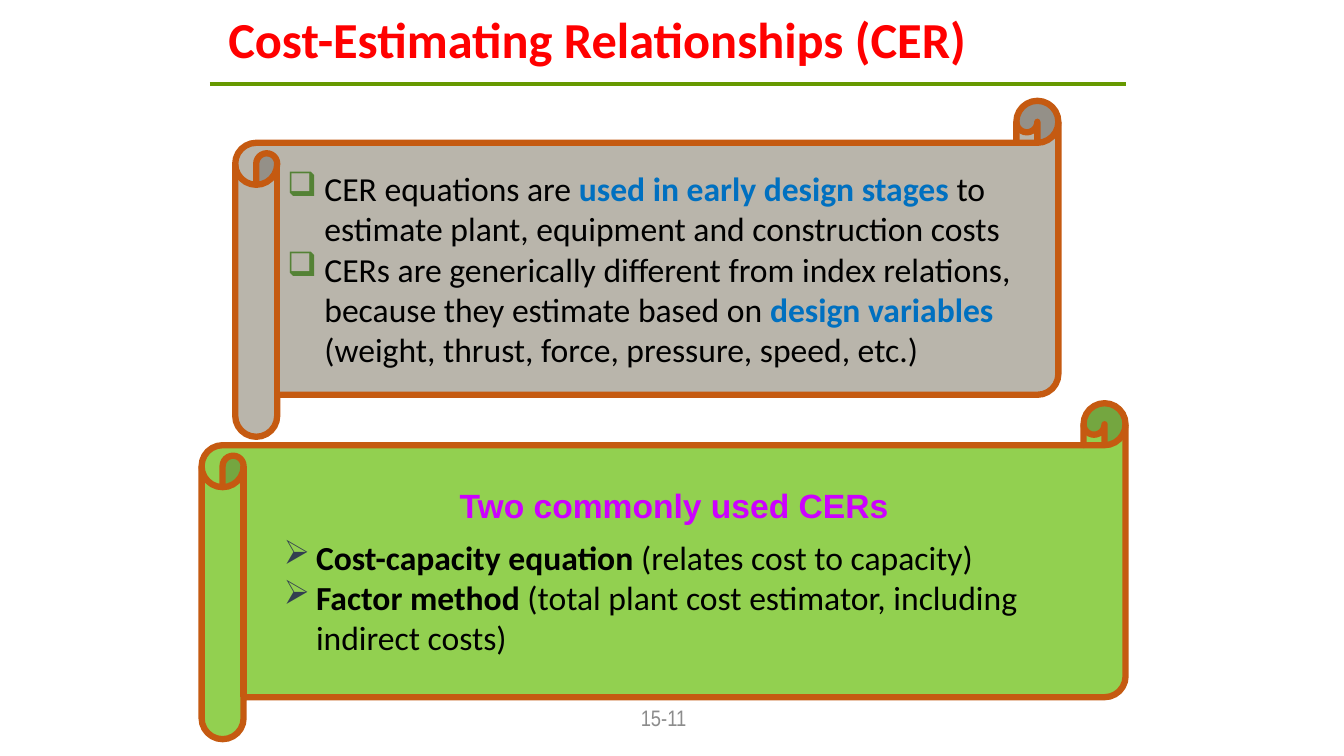
from lxml import etree
from pptx import Presentation, util as u
from pptx.dml.color import RGBColor
from pptx.enum import shapes, text
from pptx.oxml.ns import qn

BLACK = RGBColor(0x00, 0x00, 0x00)
RED = RGBColor(0xFF, 0x00, 0x00)
BLUE = RGBColor(0x00, 0x70, 0xC0)
MAGENTA = RGBColor(0xCC, 0x00, 0xFF)
GRAY = RGBColor(0x8C, 0x8C, 0x8C)
RULE_GREEN = RGBColor(0x66, 0x99, 0x00)
STONE = RGBColor(0xB9, 0xB5, 0xAB)
LIME = RGBColor(0x92, 0xD0, 0x50)
RUST = RGBColor(0xC5, 0x5A, 0x11)
BOX_BULLET = RGBColor(0x54, 0x82, 0x35)
ARROW_BULLET = RGBColor(0x33, 0x3F, 0x50)

# The slide is a grid of 160 by 90 cells; areas are left, top, width, height.
COLUMNS, ROWS = 160, 90
CELL = u.Inches(1 / 12)

TITLE = "Cost-Estimating Relationships (CER)"
TITLE_AREA = (26, 1, 108, 8)
PAGE_NUMBER = "15-11"
PAGE_NUMBER_AREA = (73, 83, 12, 4.8)
RULE_START, RULE_END, RULE_ROW = 25, 134, 10

# Each point is a list of (words, highlight colour or None, bold).
SCROLLS = [
    {
        "area": (28, 12, 98, 40), "fill": STONE, "heading": None,
        "bullet": "❑", "bullet_color": BOX_BULLET, "margin": 0.37, "hang": 0.37,
        "points": [
            [("CER equations are ", None, False),
             ("used in early design stages ", BLUE, True),
             ("to estimate plant, equipment and construction costs", None, False)],
            [("CERs are generically different from index relations, "
              "because they estimate based on ", None, False),
             ("design variables ", BLUE, True),
             ("(weight, thrust, force, pressure, speed, etc.)", None, False)],
        ],
    },
    {
        "area": (24, 48, 110, 40), "fill": LIME, "heading": "Two commonly used CERs",
        "bullet": "➢", "bullet_color": ARROW_BULLET, "margin": 0.62, "hang": 0.32,
        "points": [
            [("Cost-capacity equation ", None, True),
             ("(relates cost to capacity)", None, False)],
            [("Factor method ", None, True),
             ("(total plant cost estimator, including indirect costs)", None, False)],
        ],
    },
]


def place(area):
    return [round(cells * CELL) for cells in area]


def set_font(font, name, size, color, bold=False):
    font.name, font.size, font.bold = name, u.Pt(size), bold
    font.color.rgb = color


def add_label(slide, words, area, alignment, font):
    frame = slide.shapes.add_textbox(*place(area)).text_frame
    frame.word_wrap = True
    frame.vertical_anchor = text.MSO_ANCHOR.MIDDLE
    paragraph = frame.paragraphs[0]
    paragraph.text = words
    paragraph.alignment = alignment
    set_font(paragraph.font, *font)
    return paragraph


def add_rule(slide):
    ends = place((RULE_START, RULE_ROW, RULE_END, RULE_ROW))
    rule = slide.shapes.add_connector(shapes.MSO_CONNECTOR.STRAIGHT, *ends)
    rule.line.color.rgb = RULE_GREEN
    rule.line.width = u.Pt(3)
    etree.SubElement(rule._element.spPr, qn("a:effectLst"))


def set_bullet(paragraph, scroll):
    properties = paragraph._p.get_or_add_pPr()
    properties.set("marL", str(u.Inches(scroll["margin"])))
    properties.set("indent", str(-u.Inches(scroll["hang"])))
    color = etree.SubElement(properties, qn("a:buClr"))
    etree.SubElement(color, qn("a:srgbClr"), val=str(scroll["bullet_color"]))
    etree.SubElement(properties, qn("a:buChar"), char=scroll["bullet"])


def add_scroll(slide, scroll):
    shape = slide.shapes.add_shape(
        shapes.MSO_SHAPE.HORIZONTAL_SCROLL, *place(scroll["area"]))
    shape.shadow.inherit = False
    shape.fill.solid()
    shape.fill.fore_color.rgb = scroll["fill"]
    shape.line.color.rgb = RUST
    shape.line.width = u.Pt(4.5)
    frame = shape.text_frame
    frame.word_wrap = True
    frame.vertical_anchor = text.MSO_ANCHOR.MIDDLE
    paragraph = frame.paragraphs[0]
    if scroll["heading"]:
        paragraph.text = scroll["heading"]
        paragraph.alignment = text.PP_ALIGN.CENTER
        paragraph.space_after = u.Pt(8)
        set_font(paragraph.font, "Arial", 24, MAGENTA, True)
        paragraph = frame.add_paragraph()
    for index, point in enumerate(scroll["points"]):
        if index:
            paragraph = frame.add_paragraph()
        paragraph.alignment = text.PP_ALIGN.LEFT
        set_bullet(paragraph, scroll)
        set_font(paragraph.font, "Calibri", 24, BLACK)
        for words, highlight, bold in point:
            run = paragraph.add_run()
            run.text = words
            set_font(run.font, "Calibri", 24, highlight or BLACK, bold)


def main():
    presentation = Presentation()
    presentation.slide_width = COLUMNS * CELL
    presentation.slide_height = ROWS * CELL
    slide = presentation.slides.add_slide(presentation.slide_layouts[6])
    title = add_label(slide, TITLE, TITLE_AREA, text.PP_ALIGN.LEFT,
                      ("Calibri", 36, RED, True))
    title.line_spacing = 0.9
    add_label(slide, PAGE_NUMBER, PAGE_NUMBER_AREA, text.PP_ALIGN.CENTER,
              ("Arial Narrow", 16, GRAY))
    add_rule(slide)
    for scroll in SCROLLS:
        add_scroll(slide, scroll)
    presentation.save("out.pptx")


if __name__ == "__main__":
    main()
